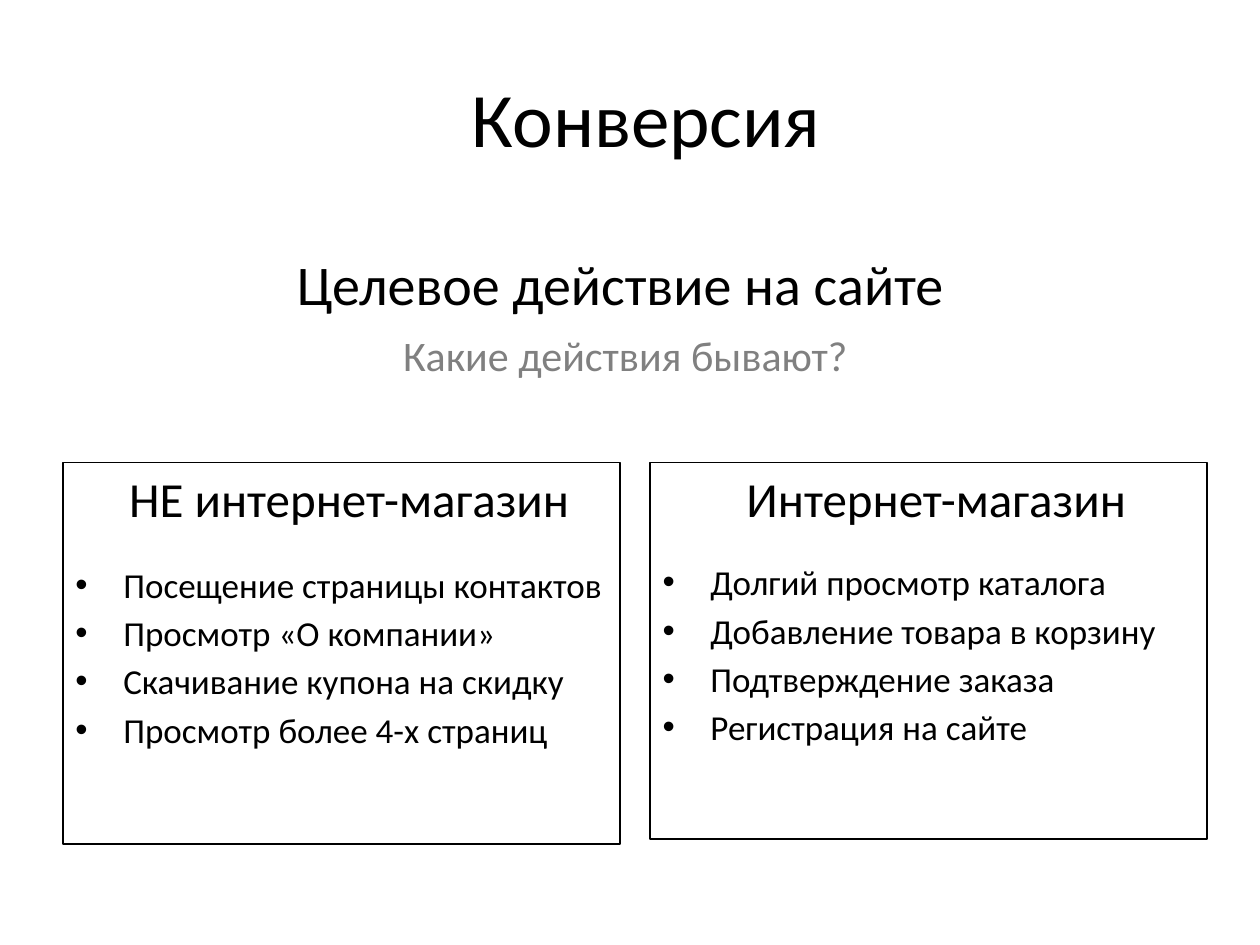
from lxml import etree
from pptx import Presentation
from pptx.dml.color import RGBColor
from pptx.enum.shapes import MSO_SHAPE
from pptx.enum.text import MSO_ANCHOR, PP_ALIGN
from pptx.oxml.ns import qn
from pptx.util import Inches, Pt

RECT = MSO_SHAPE.RECTANGLE
TOP, MIDDLE = MSO_ANCHOR.TOP, MSO_ANCHOR.MIDDLE
LEFT, CENTER = PP_ALIGN.LEFT, PP_ALIGN.CENTER
BLACK, GRAY = "000000", "808080"


def paint(target, color):
    target.rgb = RGBColor.from_string(color)


def write(para, text, size, color=BLACK, align=CENTER):
    para.text = text
    para.alignment = align
    para.font.name = "Calibri"
    para.font.size = Pt(size)
    paint(para.font.color, color)


deck = Presentation()
deck.slide_width, deck.slide_height = Inches(10), Inches(7.5)
slide = deck.slides.add_slide(deck.slide_layouts[5])

# Title, set slightly right of centre
title = slide.shapes.title
title.left, title.top = Inches(0.5), Inches(0.3)
title.width, title.height = Inches(9), Inches(1.25)
frame = title.text_frame
frame.vertical_anchor = MIDDLE
frame.margin_left = Inches(0.36)
write(frame.paragraphs[0], "Конверсия", 44)

# Definition and question
box = slide.shapes.add_textbox(Inches(1.22), Inches(1.4), Inches(7.41), Inches(1.7))
frame = box.text_frame
frame.word_wrap = True
lead = frame.paragraphs[0]
write(lead, "Целевое действие на сайте", 32)
lead.line_spacing = 2.0
ask = frame.add_paragraph()
write(ask, " Какие действия бывают?", 24, GRAY)
ask.line_spacing = 1.1
ask.space_before, ask.space_after = Pt(4.4), Pt(12)

# Two framed lists: left, height, gap under heading, heading, items
lists = [
    (0.5, 3.03, 20.5, "НЕ интернет-магазин",
     ["Посещение страницы контактов", "Просмотр «О компании»",
      "Скачивание купона на скидку", "Просмотр более 4-х страниц"]),
    (5.16, 2.99, 19, "Интернет-магазин",
     ["Долгий просмотр каталога", "Добавление товара в корзину",
      "Подтверждение заказа", "Регистрация на сайте"]),
]
for left, height, gap, heading, items in lists:
    panel = slide.shapes.add_shape(
        RECT, Inches(left), Inches(3.67), Inches(4.42), Inches(height))
    panel.shadow.inherit = False
    panel.fill.background()
    paint(panel.line.color, BLACK)
    panel.line.width = Pt(0.75)

    frame = panel.text_frame
    frame.word_wrap = True
    frame.vertical_anchor = TOP
    head = frame.paragraphs[0]
    write(head, heading, 28)
    head._p.get_or_add_pPr().set("marL", str(Inches(0.12)))

    for i, item in enumerate(items):
        para = frame.add_paragraph()
        write(para, item, 20, align=LEFT)
        para.space_before = Pt(3.6 if i else gap)
        props = para._p.get_or_add_pPr()
        props.set("marL", str(Inches(0.38)))
        props.set("indent", str(Inches(-0.38)))
        font = etree.Element(qn("a:buFont"), typeface="Arial")
        mark = etree.Element(qn("a:buChar"), char="•")
        props.find(qn("a:spcBef")).addnext(font)
        font.addnext(mark)

deck.save("out.pptx")
